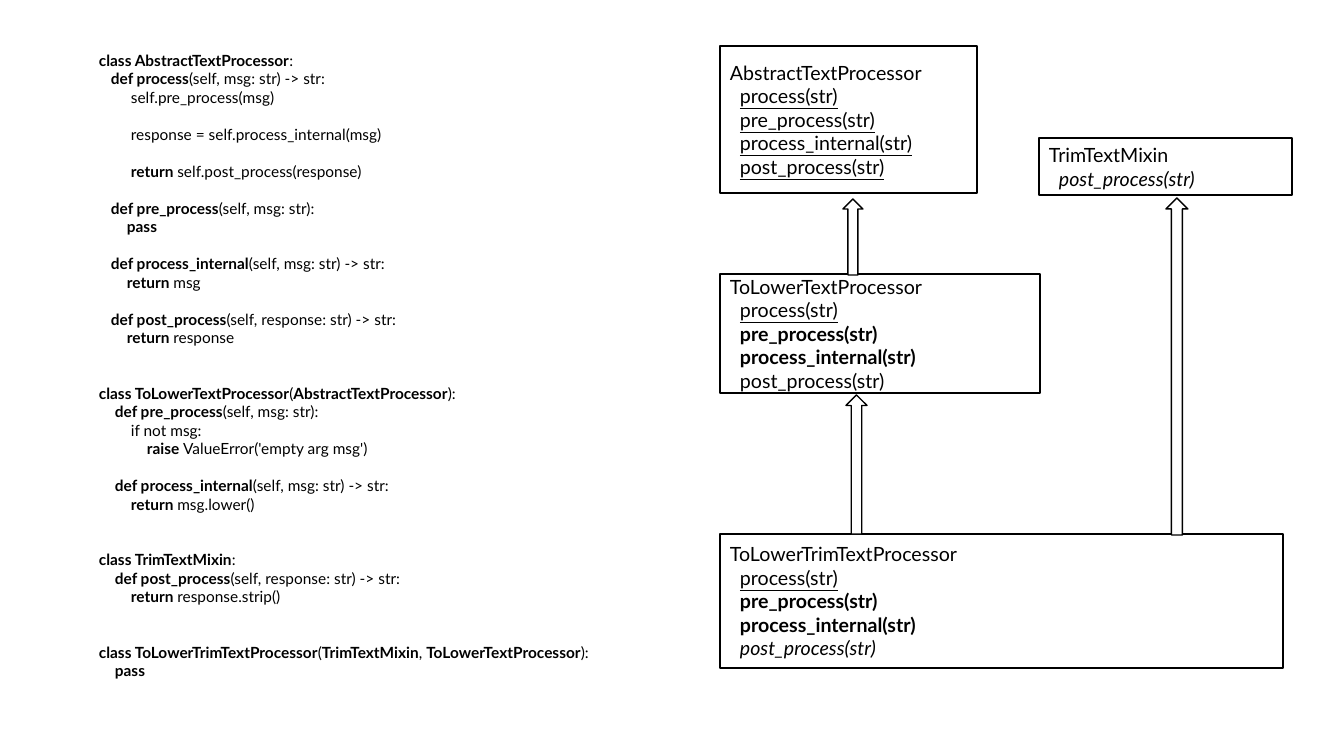
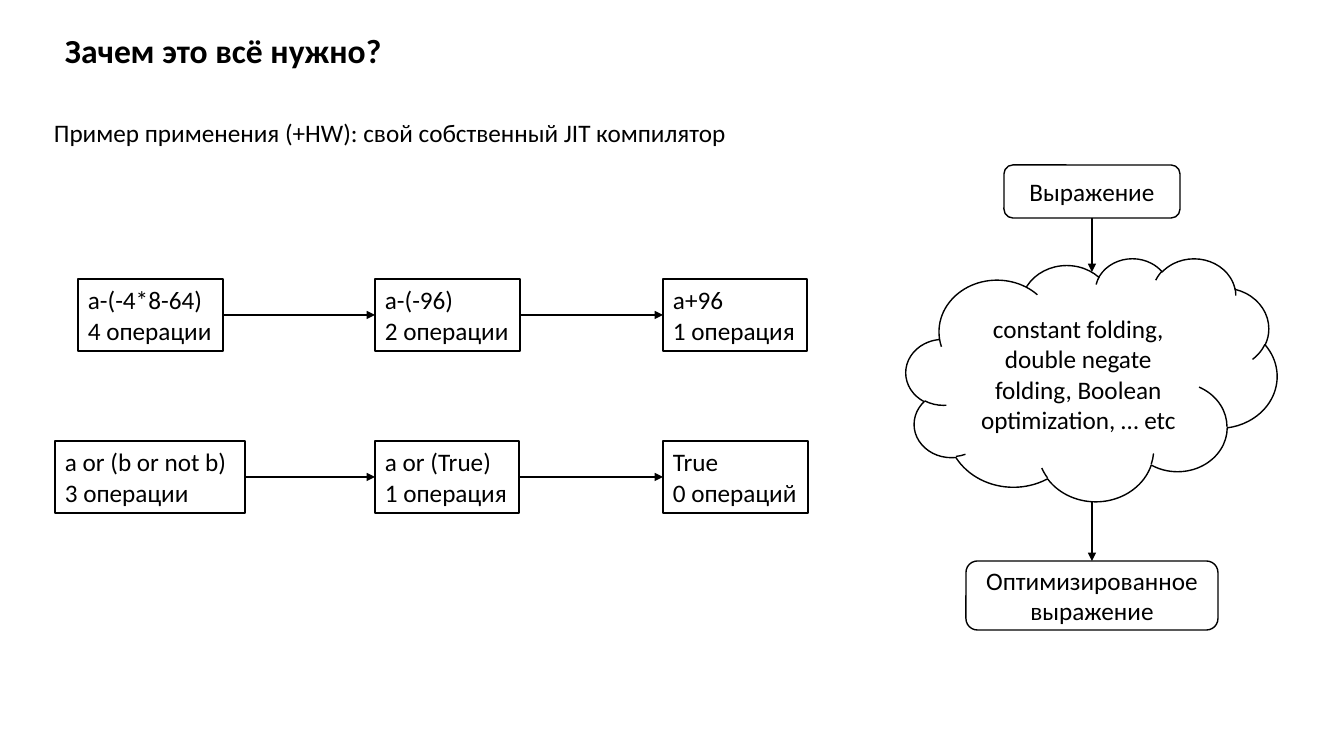
import lxml.etree
import pptx
import pptx.dml.color
import pptx.enum.shapes
import pptx.enum.text
import pptx.oxml.ns
import pptx.util

# Shared settings
EMU_PER_PIXEL = 914400 / 100.8
BLACK, WHITE = "000000", "FFFFFF"
CODE_FONT, TEXT_FONT = "Lato", "Calibri"
CODE_SIZE, CLASS_SIZE, TEXT_SIZE, TITLE_SIZE = 11, 14, 18, 24
LINE_SPACING = 1.2
MEMBER_INDENT = 10
PRESET = pptx.enum.shapes.MSO_SHAPE

# Code listing: indent in spaces, empty lines above, text with bold parts between bars
SPACE_WIDTH = 4
CODE_BOX = (89, 46, 611, 645)
CODE = [
    (0, 0, "|class AbstractTextProcessor|:"),
    (3, 0, "|def process|(self, msg: str) -> str:"),
    (8, 0, "self.pre_process(msg)"),
    (8, 1, "response = self.process_internal(msg)"),
    (8, 1, "|return |self.post_process(response)"),
    (3, 1, "|def pre_process|(self, msg: str):"),
    (7, 0, "|pass|"),
    (3, 1, "|def process_internal|(self, msg: str) -> str:"),
    (7, 0, "|return |msg"),
    (3, 1, "|def post_process|(self, response: str) -> str:"),
    (7, 0, "|return |response"),
    (0, 2, "|class ToLowerTextProcessor|(|AbstractTextProcessor|):"),
    (4, 0, "|def pre_process|(self, msg: str):"),
    (8, 0, "if not msg:"),
    (12, 0, "|raise |ValueError('empty arg msg')"),
    (4, 1, "|def process_internal|(self, msg: str) -> str:"),
    (8, 0, "|return |msg.lower()"),
    (0, 2, "|class TrimTextMixin|:"),
    (4, 0, "|def post_process|(self, response: str) -> str:"),
    (8, 0, "|return |response.strip()"),
    (0, 2, "|class ToLowerTrimTextProcessor|(|TrimTextMixin|, |ToLowerTextProcessor|):"),
    (4, 0, "|pass|"),
]

# Class diagram: box, class name, members with their style
CLASSES = [
    ((720, 46, 257, 147), "AbstractTextProcessor", [
        ("process(str)", "underline"), ("pre_process(str)", "underline"),
        ("process_internal(str)", "underline"), ("post_process(str)", "underline")]),
    ((720, 274, 320, 119), "ToLowerTextProcessor", [
        ("process(str)", "underline"), ("pre_process(str)", "bold"),
        ("process_internal(str)", "bold"), ("post_process(str)", "underline")]),
    ((1039, 138, 253, 57), "TrimTextMixin", [("post_process(str)", "italic")]),
    ((720, 534, 563, 134), "ToLowerTrimTextProcessor", [
        ("process(str)", "underline"), ("pre_process(str)", "bold"),
        ("process_internal(str)", "bold"), ("post_process(str)", "italic")]),
]
INHERITANCE_ARROWS = [(843, 199, 20, 76), (846, 395, 21, 139), (1166, 198, 22, 337)]

# Compiler example
HEADINGS = [
    ((55, 25, 340, 50), "Зачем это всё нужно?", TITLE_SIZE, "bold"),
    ((44, 112, 701, 40),
     "Пример применения (+HW): свой собственный JIT компилятор", TEXT_SIZE, None),
]
STEP_CENTERS = (150, 447, 735)
STEP_HEIGHT = 72
STEP_ROWS = [
    (279, [(145, "a-(-4*8-64)", "4 операции"), (145, "a-(-96)", "2 операции"),
           (144, "a+96", "1 операция")]),
    (441, [(190, "a or (b or not b)", "3 операции"), (144, "a or (True)", "1 операция"),
           (145, "True", "0 операций")]),
]
FLOW_CENTER = 1092
FLOW = [
    (PRESET.ROUNDED_RECTANGLE, (1004, 165, 176, 53), "Выражение"),
    (PRESET.CLOUD, (906, 258, 371, 243),
     "constant folding, double negate folding, Boolean optimization, … etc"),
    (PRESET.ROUNDED_RECTANGLE, (966, 561, 252, 69), "Оптимизированное выражение"),
]
FLOW_ARROWS = [(218, 272), (501, 561)]


def px(length):
    return pptx.util.Emu(round(length * EMU_PER_PIXEL))


def color(value):
    return pptx.dml.color.RGBColor.from_string(value)


def add_run(paragraph, text, font_name, size, style=None):
    run = paragraph.add_run()
    run.text = text
    run.font.name = font_name
    run.font.size = pptx.util.Pt(size)
    run.font.color.rgb = color(BLACK)
    if style:
        setattr(run.font, style, True)


def next_paragraph(frame, indent=0, centered=False):
    first = frame.paragraphs[0]
    paragraph = frame.add_paragraph() if first.runs else first
    alignment = pptx.enum.text.PP_ALIGN
    paragraph.alignment = alignment.CENTER if centered else alignment.LEFT
    if indent:
        paragraph._p.get_or_add_pPr().set("marL", str(px(indent)))
    return paragraph


def add_text_box(slide, box):
    frame = slide.shapes.add_textbox(*map(px, box)).text_frame
    frame.word_wrap = True
    return frame


def add_outlined(shapes, preset, box):
    shape = shapes.add_shape(preset, *map(px, box))
    shape.shadow.inherit = False
    shape.fill.solid()
    shape.fill.fore_color.rgb = color(WHITE)
    shape.line.color.rgb = color(BLACK)
    shape.line.width = pptx.util.Pt(1)
    shape.text_frame.word_wrap = True
    shape.text_frame.vertical_anchor = pptx.enum.text.MSO_ANCHOR.MIDDLE
    return shape


def add_arrow(shapes, start, end):
    connector = shapes.add_connector(
        pptx.enum.shapes.MSO_CONNECTOR.STRAIGHT, *map(px, (*start, *end)))
    connector.line.color.rgb = color(BLACK)
    connector.line.width = pptx.util.Pt(1)
    qualified = pptx.oxml.ns.qn
    lxml.etree.SubElement(connector.line._get_or_add_ln(), qualified("a:tailEnd"), type="triangle")
    lxml.etree.SubElement(connector._element.spPr, qualified("a:effectLst"))


def build_class_slide(slide):
    # Code listing
    frame = add_text_box(slide, CODE_BOX)
    for spaces, empty_lines, text in CODE:
        paragraph = next_paragraph(frame, spaces * SPACE_WIDTH)
        paragraph.space_before = pptx.util.Pt(empty_lines * CODE_SIZE * LINE_SPACING)
        for index, part in enumerate(text.split("|")):
            if part:
                add_run(paragraph, part, CODE_FONT, CODE_SIZE, "bold" if index % 2 else None)

    # Class diagram
    diagram = slide.shapes.add_group_shape().shapes
    for box, name, members in CLASSES:
        frame = add_outlined(diagram, PRESET.RECTANGLE, box).text_frame
        add_run(next_paragraph(frame), name, CODE_FONT, CLASS_SIZE)
        for member, style in members:
            add_run(next_paragraph(frame, MEMBER_INDENT), member, CODE_FONT, CLASS_SIZE, style)
    for box in INHERITANCE_ARROWS:
        add_outlined(diagram, PRESET.UP_ARROW, box)


def build_compiler_slide(slide):
    # Title and subtitle
    for box, text, size, style in HEADINGS:
        add_run(next_paragraph(add_text_box(slide, box)), text, TEXT_FONT, size, style)

    # Simplification steps
    steps = slide.shapes.add_group_shape().shapes
    for top, row in STEP_ROWS:
        middle = top + STEP_HEIGHT / 2
        previous_right = None
        for center, (width, *lines) in zip(STEP_CENTERS, row):
            left = center - width // 2
            box = (left, top, width, STEP_HEIGHT)
            frame = add_outlined(steps, PRESET.RECTANGLE, box).text_frame
            for line in lines:
                add_run(next_paragraph(frame), line, TEXT_FONT, TEXT_SIZE)
            if previous_right is not None:
                add_arrow(steps, (previous_right, middle), (left, middle))
            previous_right = left + width

    # Optimization flow
    flow = slide.shapes.add_group_shape().shapes
    for preset, box, text in FLOW:
        frame = add_outlined(flow, preset, box).text_frame
        add_run(next_paragraph(frame, centered=True), text, TEXT_FONT, TEXT_SIZE)
    for top, bottom in FLOW_ARROWS:
        add_arrow(flow, (FLOW_CENTER, top), (FLOW_CENTER, bottom))


presentation = pptx.Presentation()
presentation.slide_width = px(1344)
presentation.slide_height = px(756)
for build in (build_class_slide, build_compiler_slide):
    build(presentation.slides.add_slide(presentation.slide_layouts[6]))
presentation.save("out.pptx")
